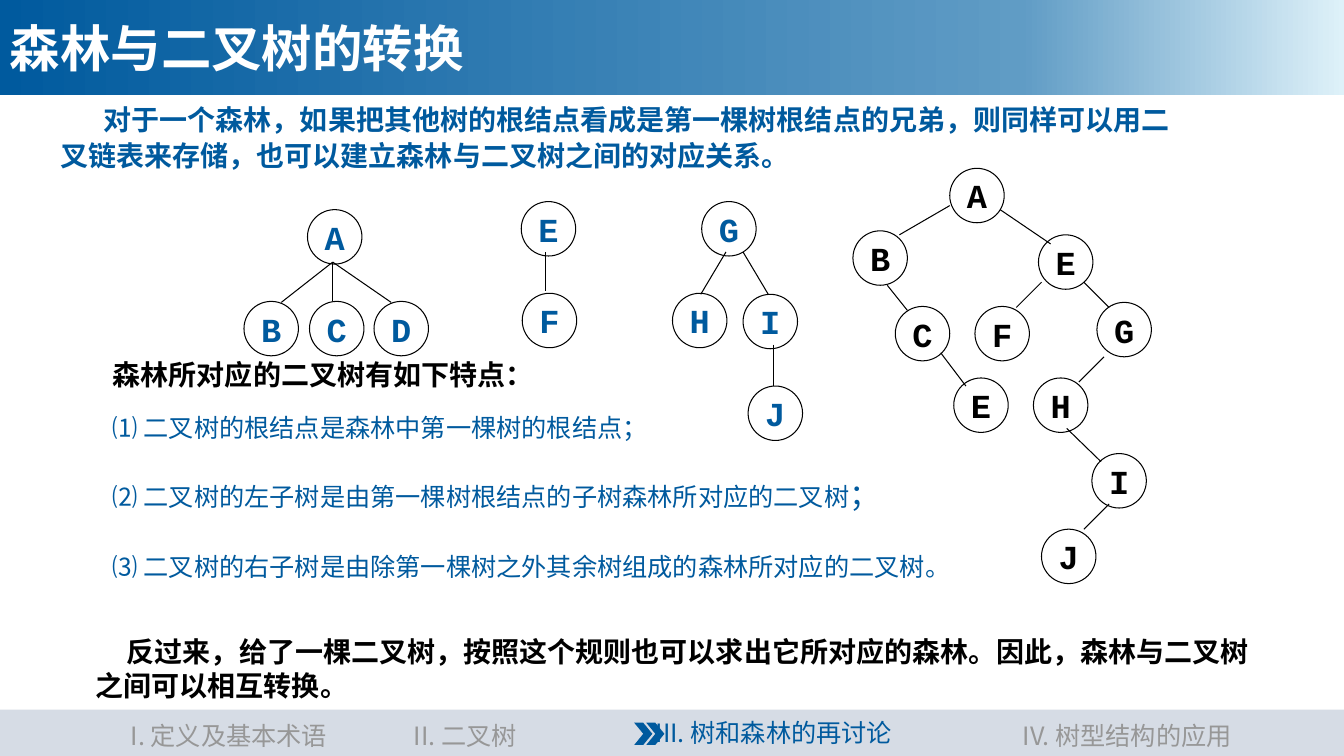
import copy
from dataclasses import dataclass
from typing import Any

import pptx
import pptx.dml.color
import pptx.enum.shapes
import pptx.enum.text
import pptx.oxml
import pptx.oxml.ns
import pptx.util
from pptx.util import Inches

RGBColor = pptx.dml.color.RGBColor
Shape = pptx.enum.shapes.MSO_SHAPE
Align = pptx.enum.text.PP_ALIGN
Anchor = pptx.enum.text.MSO_ANCHOR

BLUE = RGBColor(0x00, 0x5A, 0x9E)
MID_BLUE = RGBColor(0x60, 0x9C, 0xC5)
PALE_BLUE = RGBColor(0xDE, 0xF1, 0xF9)
BLACK = RGBColor(0, 0, 0)
WHITE = RGBColor(255, 255, 255)
GREY = RGBColor(0x97, 0x97, 0x97)
BAR_GREY = RGBColor(0xD6, 0xDC, 0xE5)

TEXT_FONT = "Noto Sans CJK SC"
NODE_FONT = "Courier New"
NODE_SIZE = 0.54
SLIDE_WIDTH = 13.33


@dataclass(frozen=True)
class Node:
    label: str
    left: float
    top: float


@dataclass(frozen=True)
class Edge:
    x1: float
    y1: float
    x2: float
    y2: float


@dataclass(frozen=True)
class Tree:
    color: RGBColor
    nodes: tuple[Node, ...]
    edges: tuple[Edge, ...]


@dataclass(frozen=True)
class TextBlock:
    text: str
    left: float
    top: float
    width: float
    height: float
    size: int
    color: RGBColor
    bold: bool = False
    align: Align = Align.LEFT
    margin: float = 0
    indent: float = 0
    line_spacing: float = 1.0
    tail: str = ""


TREES = (
    Tree(
        BLUE,
        (Node("A", 3.05, 2.08), Node("B", 2.42, 2.99), Node("C", 3.07, 2.99), Node("D", 3.71, 2.99)),
        (Edge(3.3, 2.6, 2.79, 3), Edge(3.3, 2.6, 3.3, 2.99), Edge(3.3, 2.6, 3.88, 3)),
    ),
    Tree(BLUE, (Node("E", 5.17, 2), Node("F", 5.18, 2.91)), (Edge(5.41, 2.5, 5.41, 2.89),)),
    Tree(
        BLUE,
        (Node("G", 6.96, 2), Node("H", 6.67, 2.91), Node("I", 7.37, 2.92), Node("J", 7.42, 3.83)),
        (Edge(7.2, 2.5, 6.95, 2.92), Edge(7.37, 2.5, 7.62, 2.92), Edge(7.67, 3.42, 7.67, 3.83)),
    ),
    Tree(
        BLACK,
        (
            Node("A", 9.42, 1.67), Node("B", 8.46, 2.29), Node("E", 10.3, 2.33),
            Node("C", 8.88, 3.04), Node("F", 9.67, 3.04), Node("G", 10.88, 3),
            Node("E", 9.46, 3.75), Node("H", 10.25, 3.75), Node("I", 10.83, 4.5),
            Node("J", 10.33, 5.25),
        ),
        (
            Edge(9.42, 2.04, 8.92, 2.33), Edge(9.92, 2.08, 10.42, 2.42),
            Edge(8.8, 2.83, 9, 3.08), Edge(10.33, 2.8, 10.08, 3.05),
            Edge(10.75, 2.8, 11, 3.05), Edge(9.33, 3.5, 9.58, 3.83),
            Edge(10.95, 3.54, 10.7, 3.79), Edge(10.58, 4.25, 10.92, 4.58),
            Edge(11, 5, 10.75, 5.25),
        ),
    ),
)

BODY = (
    TextBlock("对于一个森林，如果把其他树的根结点看成是第一棵树根结点的兄弟，则同样可以用二叉链表来存储，也可以建立森林与二叉树之间的对应关系。",
              0.5, 0.93, 11.36, 1.11, 20, BLUE, True, indent=0.43, line_spacing=1.1),
    TextBlock("反过来，给了一棵二叉树，按照这个规则也可以求出它所对应的森林。因此，森林与二叉树之间可以相互转换。",
              0.85, 6.25, 11.78, 0.77, 20, BLACK, True, indent=0.31),
    TextBlock("森林所对应的二叉树有如下特点：", 1.02, 3.5, 6.82, 0.47, 20, BLACK, True),
    TextBlock("⑴ 二叉树的根结点是森林中第一棵树的根结点；",
              1.02, 4.04, 6.4, 0.4, 18, BLUE, margin=0.39, indent=-0.39),
    TextBlock("⑵ 二叉树的左子树是由第一棵树根结点的子树森林所对应的二叉树",
              1.02, 4.67, 9.23, 0.47, 18, BLUE, margin=0.4, indent=-0.4, tail="；"),
    TextBlock("⑶ 二叉树的右子树是由除第一棵树之外其余树组成的森林所对应的二叉树。",
              1.02, 5.42, 9.18, 0.4, 18, BLUE, margin=0.4, indent=-0.4),
)

NAVIGATION = (
    TextBlock("I. 定义及基本术语", 0.43, 7.1, 3.68, 0.4, 18, GREY, align=Align.CENTER),
    TextBlock("II. 二叉树", 3.5, 7.1, 2.23, 0.4, 18, GREY, align=Align.CENTER),
    TextBlock("IV. 树型结构的应用", 9.96, 7.1, 2.44, 0.4, 18, GREY, align=Align.CENTER),
)


def format_run(run: Any, font_name: str, size: int, color: RGBColor, bold: bool = False) -> None:
    run.font.name = font_name
    run.font.size = pptx.util.Pt(size)
    run.font.bold = bold
    run.font.color.rgb = color
    east_asian = pptx.oxml.parse_xml(f'<a:ea {pptx.oxml.ns.nsdecls("a")} typeface="{font_name}"/>')
    run.font._element.find(pptx.oxml.ns.qn("a:latin")).addnext(east_asian)


def add_plain_shape(shapes: Any, kind: Shape, left: float, top: float, width: float, height: float) -> Any:
    shape = shapes.add_shape(kind, Inches(left), Inches(top), Inches(width), Inches(height))
    shape.shadow.inherit = False
    shape.line.fill.background()
    return shape


def add_solid_shape(shapes: Any, kind: Shape, left: float, top: float, width: float, height: float,
                    color: RGBColor) -> Any:
    shape = add_plain_shape(shapes, kind, left, top, width, height)
    shape.fill.solid()
    shape.fill.fore_color.rgb = color
    return shape


def set_label(shape: Any, text: str, font_name: str, size: int, color: RGBColor, bold: bool, align: Align) -> None:
    shape.text_frame.vertical_anchor = Anchor.MIDDLE
    paragraph = shape.text_frame.paragraphs[0]
    paragraph.text = text
    paragraph.alignment = align
    format_run(paragraph.runs[0], font_name, size, color, bold)


def add_text_block(shapes: Any, block: TextBlock) -> None:
    box = shapes.add_textbox(Inches(block.left), Inches(block.top), Inches(block.width), Inches(block.height))
    box.text_frame.word_wrap = True
    paragraph = box.text_frame.paragraphs[0]
    paragraph.text = block.text
    paragraph.alignment = block.align
    paragraph.line_spacing = block.line_spacing
    properties = paragraph._p.get_or_add_pPr()
    properties.set("marL", str(Inches(block.margin)))
    properties.set("indent", str(Inches(block.indent)))
    format_run(paragraph.runs[0], TEXT_FONT, block.size, block.color, block.bold)
    if block.tail:
        tail = paragraph.add_run()
        tail.text = block.tail
        format_run(tail, TEXT_FONT, 22, block.color, block.bold)


def add_tree(slide: Any, tree: Tree) -> None:
    shapes = slide.shapes.add_group_shape().shapes
    for node in tree.nodes:
        circle = add_plain_shape(shapes, Shape.OVAL, node.left, node.top, NODE_SIZE, NODE_SIZE)
        circle.fill.background()
        circle.line.color.rgb = BLACK
        circle.line.width = pptx.util.Pt(0.75)
        frame = circle.text_frame
        frame.margin_left = frame.margin_right = frame.margin_top = frame.margin_bottom = 0
        frame.word_wrap = False
        set_label(circle, node.label, NODE_FONT, 24, tree.color, True, Align.CENTER)
    for edge in tree.edges:
        connector = shapes.add_connector(pptx.enum.shapes.MSO_CONNECTOR.STRAIGHT, Inches(edge.x1),
                                         Inches(edge.y1), Inches(edge.x2), Inches(edge.y2))
        connector.line.color.rgb = BLACK
        connector.line.width = pptx.util.Pt(0.75)
        connector._element.spPr.append(pptx.oxml.parse_xml(f'<a:effectLst {pptx.oxml.ns.nsdecls("a")}/>'))


def add_title(slide: Any) -> None:
    banner = add_plain_shape(slide.shapes, Shape.RECTANGLE, 0, 0, SLIDE_WIDTH, 0.94)
    banner.fill.gradient()
    banner.fill.gradient_angle = 0
    stop_list = banner._element.spPr.find(".//" + pptx.oxml.ns.qn("a:gsLst"))
    stop_list.append(copy.deepcopy(stop_list[0]))
    stops = ((0, BLUE), (0.76, MID_BLUE), (1, PALE_BLUE))
    for stop, (position, color) in zip(banner.fill.gradient_stops, stops):
        stop.position = position
        stop.color.rgb = color
    set_label(banner, "森林与二叉树的转换", TEXT_FONT, 36, WHITE, True, Align.LEFT)


def add_navigation(slide: Any) -> None:
    shapes = slide.shapes.add_group_shape().shapes
    bar = add_solid_shape(shapes, Shape.RECTANGLE, 0, 7.04, SLIDE_WIDTH, 0.46, BAR_GREY)
    bar.text_frame.margin_left = Inches(2.12)
    set_label(bar, "III. 树和森林的再讨论", TEXT_FONT, 18, BLUE, False, Align.CENTER)
    for block in NAVIGATION:
        add_text_block(shapes, block)
    for left in (6.41, 6.29):
        add_solid_shape(shapes, Shape.CHEVRON, left, 7.17, 0.18, 0.22, BLUE)


def main() -> None:
    presentation = pptx.Presentation()
    presentation.slide_width = Inches(SLIDE_WIDTH)
    presentation.slide_height = Inches(7.5)
    slide = presentation.slides.add_slide(presentation.slide_layouts[6])
    for block in BODY:
        add_text_block(slide.shapes, block)
    for tree in TREES:
        add_tree(slide, tree)
    add_title(slide)
    add_navigation(slide)
    presentation.save("out.pptx")


if __name__ == "__main__":
    main()
